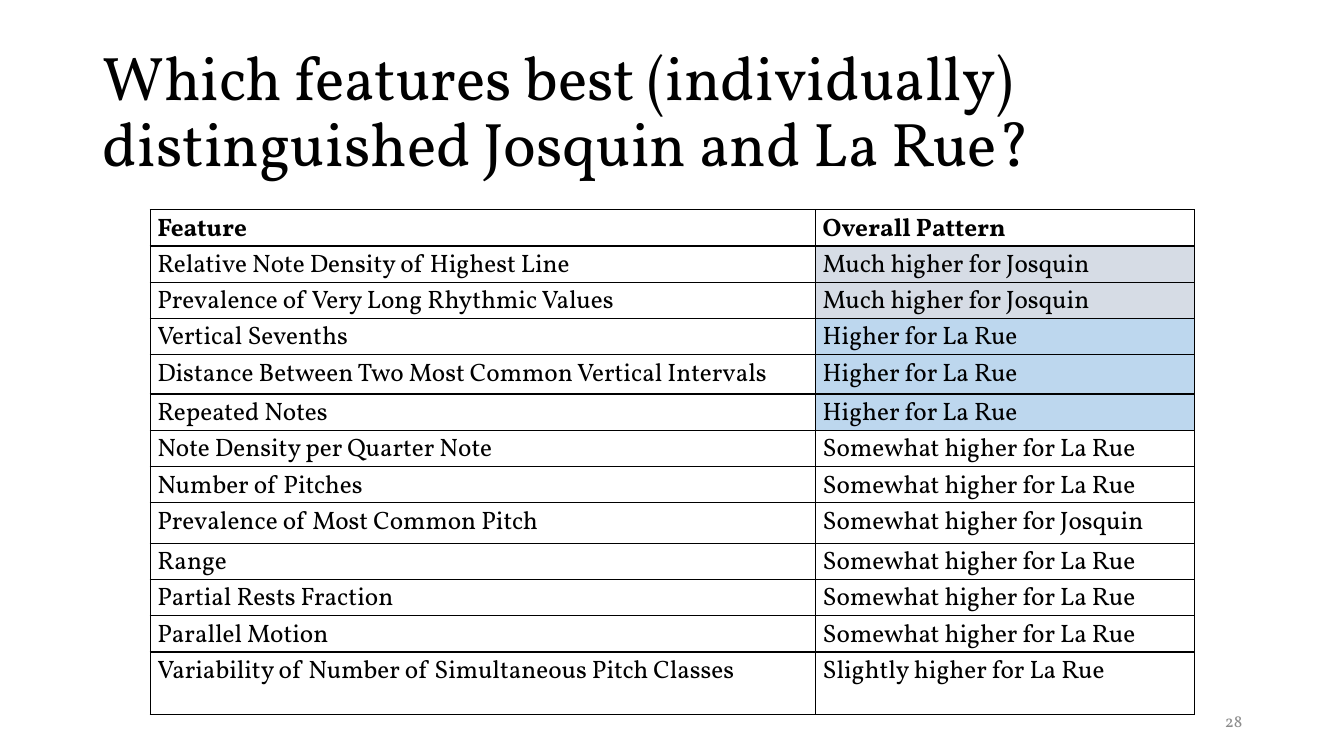
from dataclasses import dataclass

from lxml import etree
from pptx import Presentation
from pptx.dml.color import RGBColor
from pptx.enum.text import MSO_ANCHOR, MSO_AUTO_SIZE, PP_ALIGN
from pptx.oxml.ns import qn
from pptx.util import Inches, Pt

MIDDLE = MSO_ANCHOR.MIDDLE
LEFT, RIGHT = PP_ALIGN.LEFT, PP_ALIGN.RIGHT

TITLE = "Which features best (individually) distinguished Josquin and La Rue?"
PAGE_NUMBER = "28"
HEADER = ("Feature", "Overall Pattern")
FINDINGS = [
    ("Relative Note Density of Highest Line", "Much higher for Josquin"),
    ("Prevalence of Very Long Rhythmic Values", "Much higher for Josquin"),
    ("Vertical Sevenths", "Higher for La Rue"),
    ("Distance Between Two Most Common Vertical Intervals", "Higher for La Rue"),
    ("Repeated Notes", "Higher for La Rue"),
    ("Note Density per Quarter Note", "Somewhat higher for La Rue"),
    ("Number of Pitches", "Somewhat higher for La Rue"),
    ("Prevalence of Most Common Pitch", "Somewhat higher for Josquin"),
    ("Range", "Somewhat higher for La Rue"),
    ("Partial Rests Fraction", "Somewhat higher for La Rue"),
    ("Parallel Motion", "Somewhat higher for La Rue"),
    ("Variability of Number of Simultaneous Pitch Classes", "Slightly higher for La Rue"),
]


@dataclass(frozen=True)
class Theme:
    font: str = "Vollkorn"
    ink: str = "000000"
    muted: str = "8C8C8C"
    much_higher: str = "D6DCE5"
    higher: str = "BDD7EE"
    title_size: int = 44
    table_size: int = 18
    number_size: int = 12
    border_width: int = 1


THEME = Theme()
PATTERN_FILLS = {
    "Much higher for Josquin": THEME.much_higher,
    "Higher for La Rue": THEME.higher,
}

SLIDE_SIZE = (13.33, 7.5)
TITLE_BOX = (0.92, 0.4, 11.5, 1.45)
NUMBER_BOX = (9.42, 6.95, 3, 0.4)
TABLE_LEFT, TABLE_TOP = 1.49, 2.08
COLUMN_WIDTHS = (6.6, 3.76)
ROW_HEIGHT = 0.36
TALLER_ROWS = {4: 0.39, 8: 0.4, 12: 0.62}
CELL_INSET = 0.07


def inches(lengths):
    return [Inches(length) for length in lengths]


def write(frame, text, size, color=THEME.ink, align=LEFT, spacing=1.0, bold=False):
    frame.text = text
    paragraph = frame.paragraphs[0]
    paragraph.alignment = align
    paragraph.line_spacing = spacing
    font = paragraph.font
    font.name, font.size, font.bold = THEME.font, Pt(size), bold
    font.color.rgb = RGBColor.from_string(color)


def add_borders(cell):
    properties = cell._tc.get_or_add_tcPr()
    for side in ("lnL", "lnR", "lnT", "lnB"):
        line = etree.SubElement(properties, qn(f"a:{side}"), w=str(Pt(THEME.border_width)))
        fill = etree.SubElement(line, qn("a:solidFill"))
        etree.SubElement(fill, qn("a:srgbClr"), val=THEME.ink)


def add_title(slide):
    title = slide.shapes.title
    title.left, title.top, title.width, title.height = inches(TITLE_BOX)
    frame = title.text_frame
    frame.word_wrap, frame.auto_size = True, MSO_AUTO_SIZE.NONE
    frame.vertical_anchor = MIDDLE
    write(frame, TITLE, THEME.title_size, spacing=0.9)


def add_page_number(slide):
    frame = slide.shapes.add_textbox(*inches(NUMBER_BOX)).text_frame
    frame.word_wrap = True
    frame.vertical_anchor = MIDDLE
    write(frame, PAGE_NUMBER, THEME.number_size, THEME.muted, RIGHT)


def add_findings_table(slide):
    rows = [HEADER, *FINDINGS]
    heights = [TALLER_ROWS.get(index, ROW_HEIGHT) for index in range(len(rows))]
    box = inches((TABLE_LEFT, TABLE_TOP, sum(COLUMN_WIDTHS), sum(heights)))
    table = slide.shapes.add_table(len(rows), len(HEADER), *box).table
    table.first_row = table.horz_banding = False
    for column, width in zip(table.columns, COLUMN_WIDTHS):
        column.width = Inches(width)
    for index, (row, height, texts) in enumerate(zip(table.rows, heights, rows)):
        row.height = Inches(height)
        for cell, text in zip(row.cells, texts):
            cell.margin_left = cell.margin_right = Inches(CELL_INSET)
            cell.margin_top = cell.margin_bottom = 0
            write(cell.text_frame, text, THEME.table_size, spacing=1.07, bold=index == 0)
            add_borders(cell)
            if text in PATTERN_FILLS:
                cell.fill.solid()
                cell.fill.fore_color.rgb = RGBColor.from_string(PATTERN_FILLS[text])
            else:
                cell.fill.background()


def main():
    deck = Presentation()
    deck.slide_width, deck.slide_height = inches(SLIDE_SIZE)
    title_only = deck.slide_layouts[5]
    slide = deck.slides.add_slide(title_only)
    add_title(slide)
    add_page_number(slide)
    add_findings_table(slide)
    deck.save("out.pptx")


if __name__ == "__main__":
    main()
